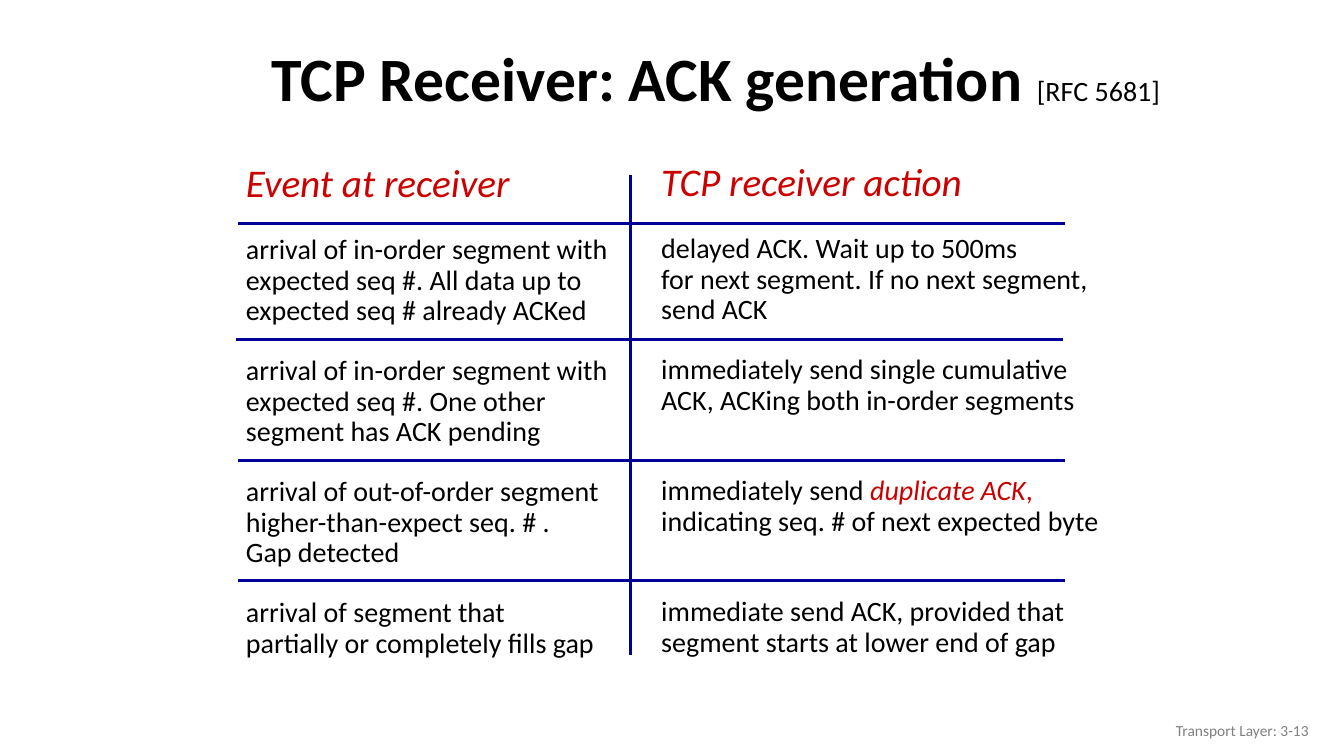
import pptx
import pptx.util
import pptx.dml.color
import pptx.enum.shapes
import pptx.enum.text
from lxml import etree

Inches, Pt = pptx.util.Inches, pptx.util.Pt
ALIGN = pptx.enum.text.PP_ALIGN
ANCHOR = pptx.enum.text.MSO_ANCHOR
COLORS = {"ink": "000000", "red": "CC0000", "rule": "000099", "foot": "808080"}
GAP = 21.6  # height of one body line, in points


def rgb(name):
    return pptx.dml.color.RGBColor.from_string(COLORS[name])


def add_run(para, text, size=20, color="ink", bold=False, italic=False):
    """Append text to a paragraph in the given format."""
    run = para.add_run()
    run.text = text
    font = run.font
    font.name, font.size = "Calibri", Pt(size)
    font.bold, font.italic = bold, italic
    font.color.rgb = rgb(color)


class Page:
    """Holds the slide and draws each kind of element in its style."""

    def __init__(self, deck):
        self.slide = deck.slides.add_slide(deck.slide_layouts[6])

    def box(self, left, top, width, height, anchor=ANCHOR.TOP, wrap=True):
        shape = self.slide.shapes.add_textbox(
            Inches(left), Inches(top), Inches(width), Inches(height))
        frame = shape.text_frame
        frame.word_wrap = wrap
        frame.vertical_anchor = anchor
        return frame

    def label(self, place, runs, align, spacing=1.0):
        para = self.box(*place, anchor=ANCHOR.MIDDLE).paragraphs[0]
        para.alignment, para.line_spacing = align, spacing
        for text, style in runs:
            add_run(para, text, **style)

    def column(self, place, head, cells):
        """Draw a heading and its cells; each cell is (blank lines above, lines)."""
        frame = self.box(*place, wrap=False)
        frame.auto_size = pptx.enum.text.MSO_AUTO_SIZE.SHAPE_TO_FIT_TEXT
        para = frame.paragraphs[0]
        para.line_spacing = 0.9
        add_run(para, head, size=28, color="red", italic=True)
        for blank, lines in cells:
            for row, line in enumerate(lines):
                para = frame.add_paragraph()
                para.line_spacing = 0.9
                para.space_before = Pt(0 if row else blank * GAP)
                runs = [(line, {})] if isinstance(line, str) else line
                for text, style in runs:
                    add_run(para, text, **style)

    def rule(self, x1, y1, x2, y2):
        line = self.slide.shapes.add_connector(
            pptx.enum.shapes.MSO_CONNECTOR.STRAIGHT,
            Inches(x1), Inches(y1), Inches(x2), Inches(y2))
        line.line.color.rgb = rgb("rule")
        line.line.width = Pt(2.25)
        props = line._element.spPr
        etree.SubElement(props, pptx.oxml.ns.qn("a:effectLst"))


EVENTS = [
    (1, ["arrival of in-order segment with",
         "expected seq #. All data up to",
         "expected seq # already ACKed"]),
    (1, ["arrival of in-order segment with",
         "expected seq #. One other",
         "segment has ACK pending"]),
    (1, ["arrival of out-of-order segment",
         "higher-than-expect seq. # .",
         "Gap detected"]),
    (1, ["arrival of segment that",
         "partially or completely fills gap"]),
]
ACTIONS = [
    (1, ["delayed ACK. Wait up to 500ms",
         "for next segment. If no next segment,",
         "send ACK"]),
    (1, ["immediately send single cumulative",
         "ACK, ACKing both in-order segments"]),
    (2, [[("immediately send ", {}),
          ("duplicate ACK", {"color": "red", "italic": True}),
          (",", {"color": "red"})],
         "indicating seq. # of next expected byte"]),
    (2, ["immediate send ACK, provided that",
         "segment starts at lower end of gap"]),
]


def main():
    deck = pptx.Presentation()
    deck.slide_width, deck.slide_height = Inches(13.33), Inches(7.5)
    page = Page(deck)

    # Title
    page.label((0.87, 0.32, 12.46, 0.98),
               [("TCP Receiver: ACK generation ", {"size": 44, "bold": True}),
                ("[RFC 5681]", {})], ALIGN.CENTER, 0.9)

    # Two columns of text
    page.column((2.34, 1.57, 3.82, 5.54), "Event at receiver", EVENTS)
    page.column((6.46, 1.56, 4.58, 5.54), "TCP receiver action", ACTIONS)

    # Divider and row rules
    page.rule(6.25, 1.74, 6.25, 6.5)
    for left, top in ((2.36, 2.22), (2.34, 3.37), (2.36, 4.57), (2.36, 5.76)):
        page.rule(left, top, left + 8.2, top)

    # Footer
    page.label((10.08, 7.05, 3, 0.4),
               [("Transport Layer: 3-13", {"size": 11, "color": "foot"})],
               ALIGN.RIGHT)

    deck.save("out.pptx")


if __name__ == "__main__":
    main()
